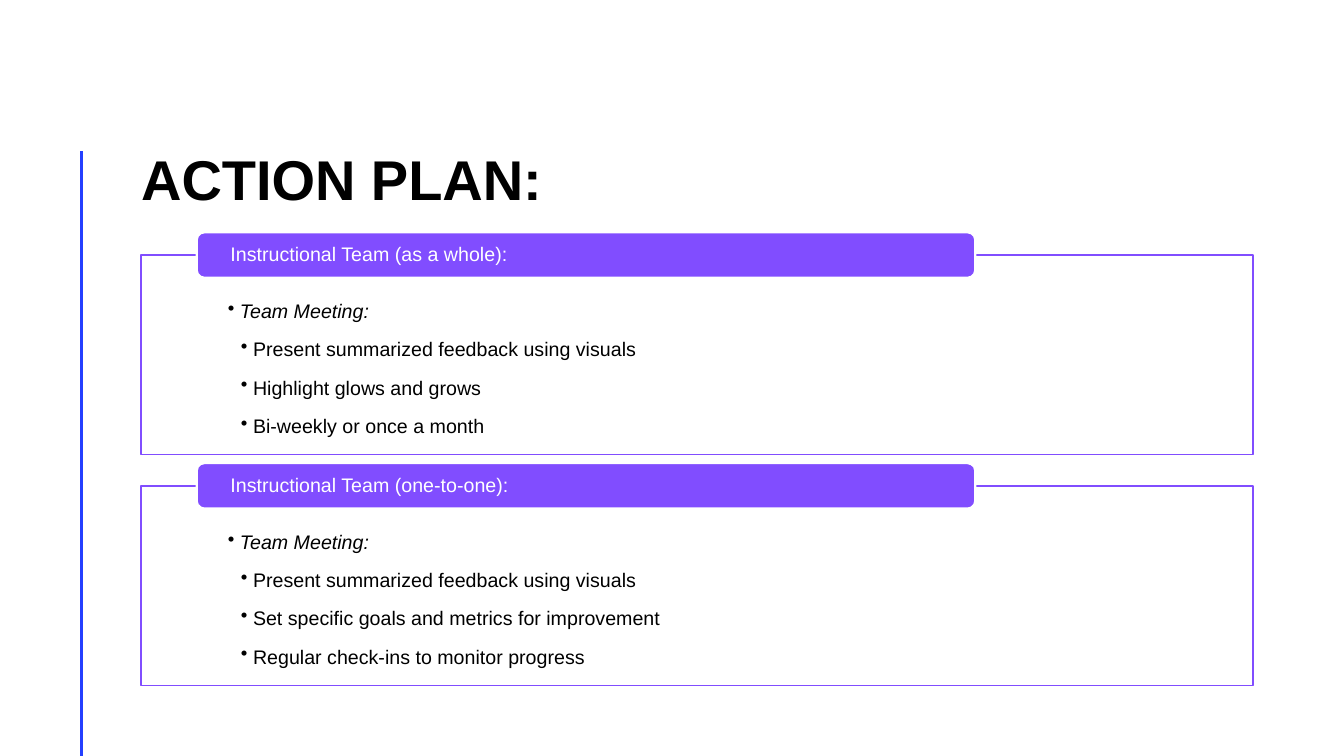
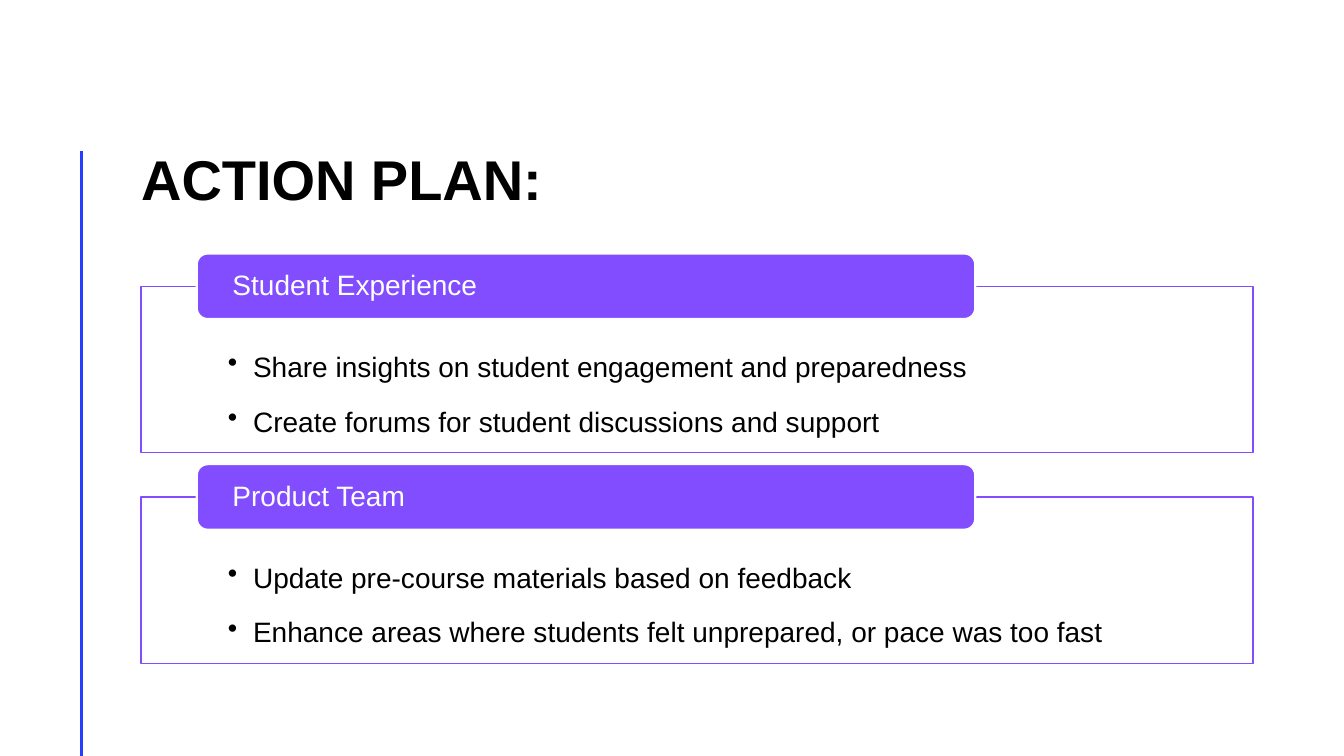
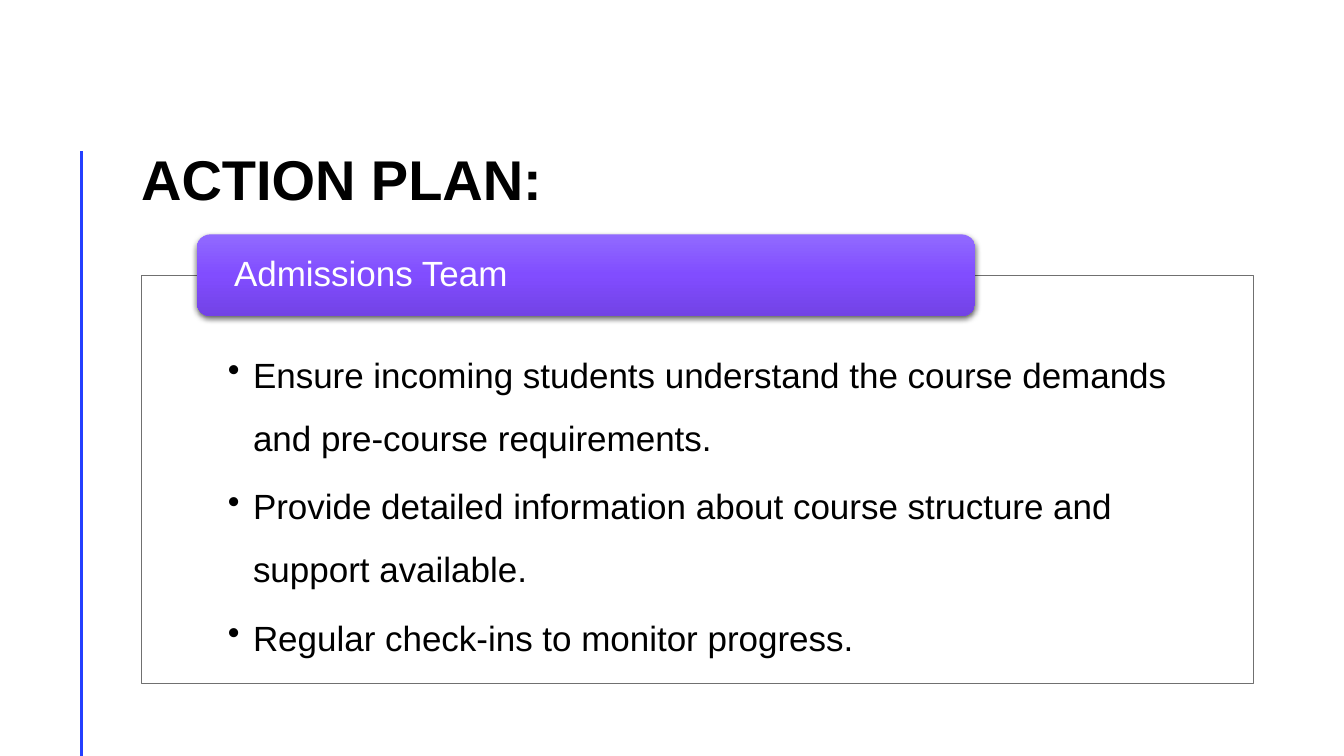
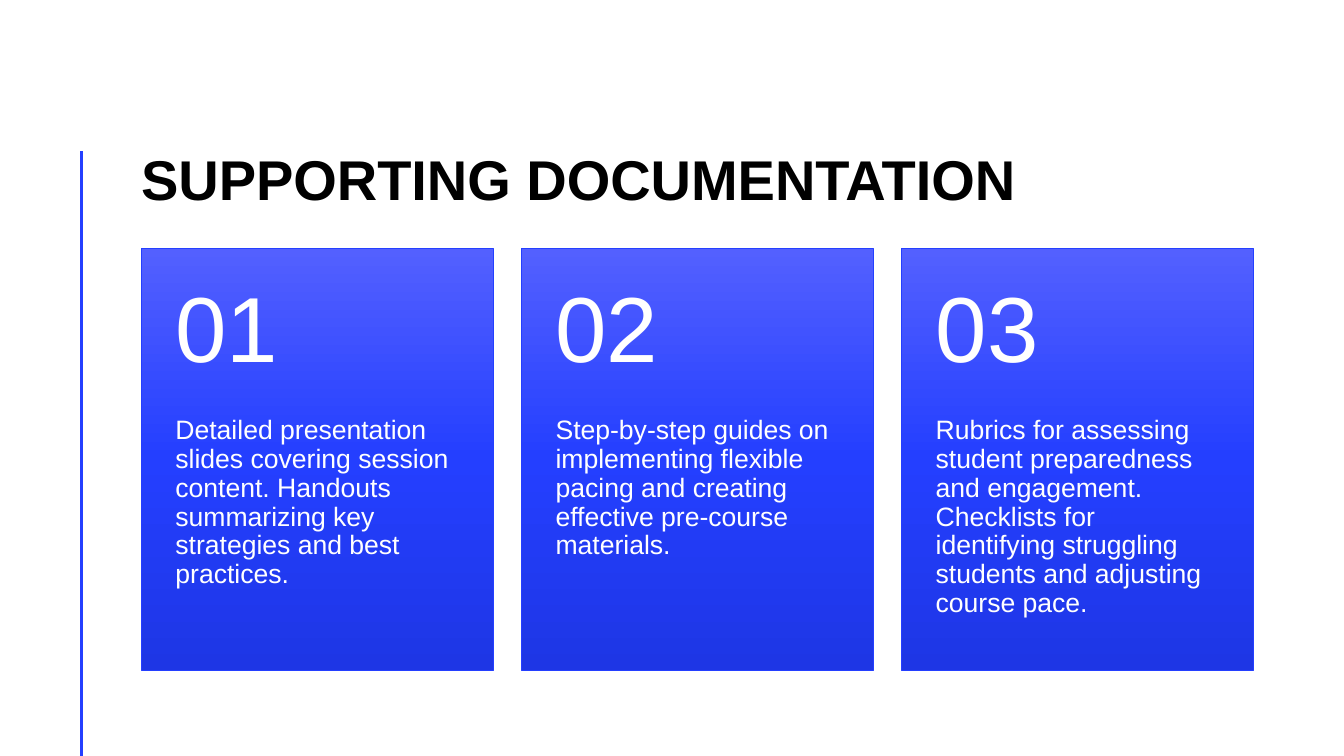
from lxml import etree
from pptx import Presentation
from pptx import util as u
from pptx.dml.color import RGBColor
from pptx.enum import shapes, text
from pptx.oxml import ns

BLACK = RGBColor(0x00, 0x00, 0x00)
WHITE = RGBColor(0xFF, 0xFF, 0xFF)
GREY = RGBColor(0x70, 0x70, 0x70)
BLUE = RGBColor(0x24, 0x3F, 0xFF)
PURPLE = RGBColor(0x81, 0x4D, 0xFF)
BLUE_FADE = (RGBColor(0x53, 0x60, 0xFF), BLUE, RGBColor(0x1E, 0x36, 0xE5))
PURPLE_FADE = (RGBColor(0x91, 0x6A, 0xFF), PURPLE, RGBColor(0x72, 0x42, 0xE5))

FONT = "Arial"
WIDTH, HEIGHT = 13.33, 7.5
LEFT, CONTENT = 1.4, 11.03
RAIL = 0.81
TOP, MIDDLE, BOTTOM = (text.MSO_ANCHOR.TOP, text.MSO_ANCHOR.MIDDLE,
                       text.MSO_ANCHOR.BOTTOM)


def add_block(slide, box, lines, size, color, kind=None, insets=(0, 0, 0, 0),
              anchor=TOP, spacing=0.9):
    """Add a shape, or a text box when kind is None; insets run left, top, right, bottom."""
    place = [u.Inches(length) for length in box]
    if kind is None:
        block = slide.shapes.add_textbox(*place)
    else:
        block = slide.shapes.add_shape(kind, *place)
        block.shadow.inherit = False
    frame = block.text_frame
    frame.word_wrap = True
    frame.vertical_anchor = anchor
    (frame.margin_left, frame.margin_top,
     frame.margin_right, frame.margin_bottom) = map(u.Inches, insets)
    frame.text = "\n".join(lines)
    for paragraph in frame.paragraphs:
        paragraph.alignment = text.PP_ALIGN.LEFT
        paragraph.line_spacing = spacing
        font = paragraph.runs[0].font
        font.name, font.size, font.color.rgb = FONT, u.Pt(size), color
    return block


def fade(block, colors):
    """Fill from top to bottom with evenly spaced colours."""
    block.fill.gradient()
    block.fill.gradient_angle = 270
    stops = block._element.spPr.find(ns.qn("a:gradFill")).find(ns.qn("a:gsLst"))
    for stop in list(stops):
        stops.remove(stop)
    for i, color in enumerate(colors):
        stop = etree.SubElement(stops, ns.qn("a:gs"),
                                pos=str(100000 * i // (len(colors) - 1)))
        etree.SubElement(stop, ns.qn("a:srgbClr"), val=str(color))


deck = Presentation()
deck.slide_width, deck.slide_height = u.Inches(WIDTH), u.Inches(HEIGHT)

# Shared rail and title
slides = []
for title in ["ACTION PLAN:"] * 3 + ["SUPPORTING DOCUMENTATION"]:
    slide = deck.slides.add_slide(deck.slide_layouts[6])
    rail = slide.shapes.add_connector(
        shapes.MSO_CONNECTOR.STRAIGHT, u.Inches(RAIL), u.Inches(HEIGHT / 5),
        u.Inches(RAIL), u.Inches(HEIGHT))
    rail.line.color.rgb, rail.line.width = BLUE, u.Pt(2)
    etree.SubElement(rail._element.spPr, ns.qn("a:effectLst"))
    heading = add_block(slide, (LEFT, 0.7, CONTENT, 1.4), [title], 40, BLACK,
                        anchor=BOTTOM, spacing=u.Pt(40))
    heading.text_frame.paragraphs[0].runs[0].font.bold = True
    slides.append(slide)

# Action plans: first panel top, pitch, panel height, tab height,
# top inset, text size, nested list, raised tab, teams
plans = [
    (2.53, 2.29, 1.98, 0.45, 0.32, 14, True, False, [
        ("Instructional Team (as a whole):",
         ["Team Meeting:",
          "Present summarized feedback using visuals",
          "Highlight glows and grows",
          "Bi-weekly or once a month"]),
        ("Instructional Team (one-to-one):",
         ["Team Meeting:",
          "Present summarized feedback using visuals",
          "Set specific goals and metrics for improvement",
          "Regular check-ins to monitor progress"])]),
    (2.84, 2.09, 1.65, 0.65, 0.46, 20, False, False, [
        ("Student Experience",
         ["Share insights on student engagement and preparedness",
          "Create forums for student discussions and support"]),
        ("Product Team",
         ["Update pre-course materials based on feedback",
          "Enhance areas where students felt unprepared, or pace was too fast"])]),
    (2.73, 0, 4.05, 0.81, 0.57, 25, False, True, [
        ("Admissions Team",
         ["Ensure incoming students understand the course demands "
          "and pre-course requirements.",
          "Provide detailed information about course structure and "
          "support available.",
          "Regular check-ins to monitor progress."])]),
]
for slide, plan in zip(slides, plans):
    first, pitch, height, tab_height, inset, size, nested, raised, teams = plan
    for row, (team, actions) in enumerate(teams):
        top = first + row * pitch
        panel = add_block(slide, (LEFT, top, CONTENT, height), actions, size, BLACK,
                          shapes.MSO_SHAPE.RECTANGLE, (0.86, inset, 0.86, 0.1),
                          spacing=1.5)
        panel.fill.solid()
        panel.fill.fore_color.rgb = WHITE
        panel.line.color.rgb = GREY if raised else PURPLE
        panel.line.width = u.Pt(0.5 if raised else 1)
        for i, action in enumerate(panel.text_frame.paragraphs):
            is_topic = nested and i == 0
            action.level = 1 if nested and i else 0
            action.space_after = u.Pt(0.15 * size)
            action.runs[0].font.italic = is_topic
            indents = action._p.get_or_add_pPr()
            indents.set("marL", str(u.Inches(0.12 if is_topic else 0.25)))
            indents.set("indent", str(-u.Inches(0.12 if nested else 0.25)))
            etree.SubElement(indents, ns.qn("a:buChar"), char="•")

        side = 0.29 + 0.05 * tab_height
        tab = add_block(slide, (LEFT + 0.05 * CONTENT, top - tab_height / 2,
                                0.7 * CONTENT, tab_height),
                        [team], size, WHITE, shapes.MSO_SHAPE.ROUNDED_RECTANGLE,
                        (side, 0, side, 0), MIDDLE)
        if raised:
            fade(tab, PURPLE_FADE)
            tab.line.fill.background()
            effects = tab._element.spPr.find(ns.qn("a:effectLst"))
            shade = etree.SubElement(effects, ns.qn("a:outerShdw"),
                                     blurRad=str(u.Pt(4.5)), dist=str(u.Pt(1.5)),
                                     dir="5400000", algn="ctr", rotWithShape="0")
            tint = etree.SubElement(shade, ns.qn("a:srgbClr"), val=str(BLACK))
            etree.SubElement(tint, ns.qn("a:alpha"), val="63000")
        else:
            tab.fill.solid()
            tab.fill.fore_color.rgb = PURPLE
            tab.line.color.rgb, tab.line.width = WHITE, u.Pt(1.5)

# Supporting documentation: three numbered cards
documents = [
    "Detailed presentation slides covering session content. Handouts summarizing "
    "key strategies and best practices.",
    "Step-by-step guides on implementing flexible pacing and creating effective "
    "pre-course materials.",
    "Rubrics for assessing student preparedness and engagement. Checklists for "
    "identifying struggling students and adjusting course pace.",
]
CARD_TOP, CARD_HEIGHT, GAP = 2.46, 4.19, 0.28
card_width = (CONTENT - GAP * (len(documents) - 1)) / len(documents)
number_height = 0.4 * CARD_HEIGHT
for column, document in enumerate(documents):
    left = LEFT + column * (card_width + GAP)
    card = add_block(slides[-1], (left, CARD_TOP, card_width, CARD_HEIGHT),
                     [document], 19, WHITE, shapes.MSO_SHAPE.RECTANGLE,
                     (0.34, number_height, 0.34, 0.36))
    fade(card, BLUE_FADE)
    card.line.color.rgb, card.line.width = BLUE, u.Pt(0.5)
    add_block(slides[-1], (left, CARD_TOP, card_width, number_height),
              [f"{column + 1:02}"], 66, WHITE,
              insets=(0.34, 0.18, 0.34, 0.18), anchor=MIDDLE)

deck.save("out.pptx")
